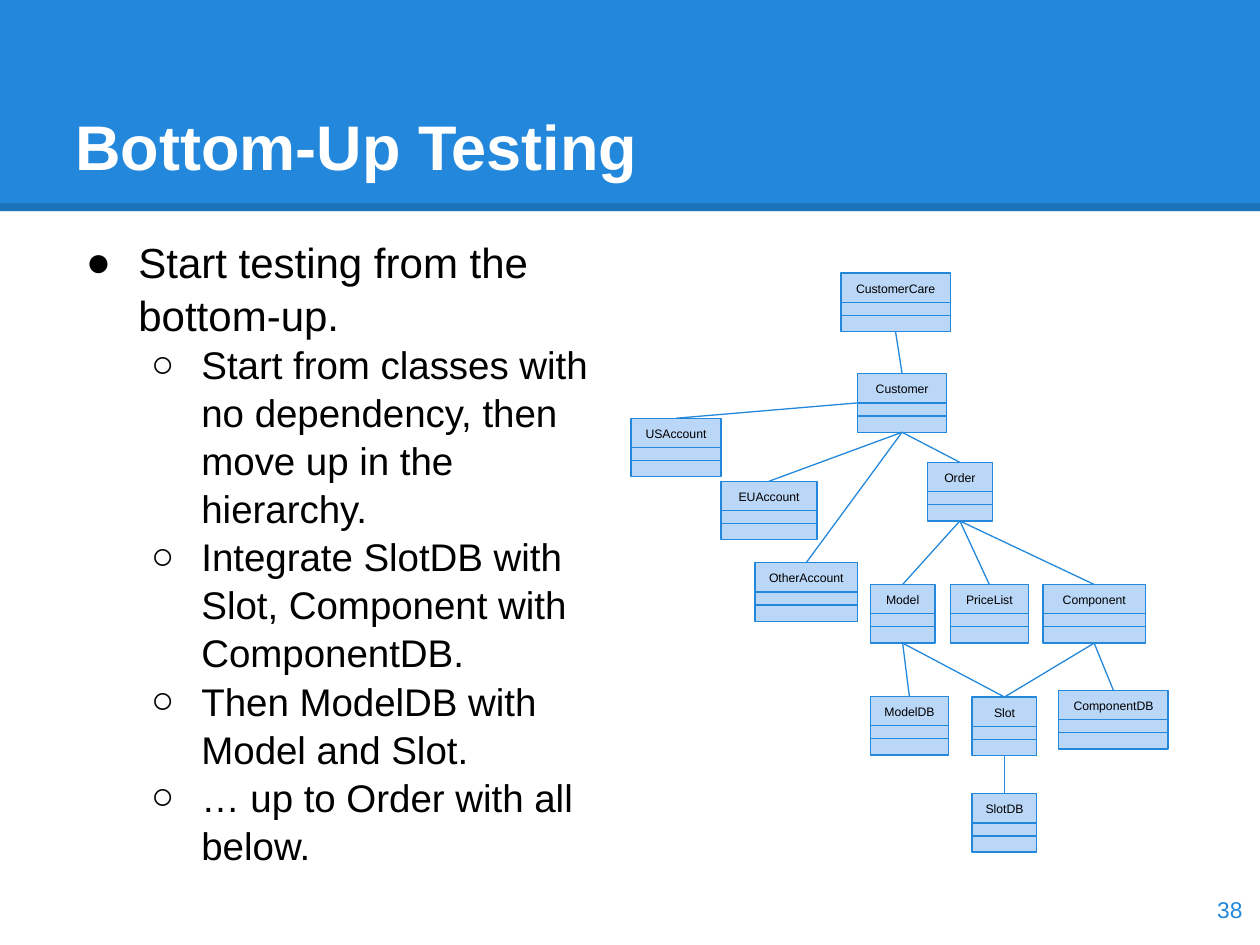
"""Build the Bottom-Up Testing slide with its class diagram."""
from lxml import etree
from pptx import Presentation
from pptx.dml.color import RGBColor
from pptx.enum.shapes import MSO_CONNECTOR, MSO_SHAPE
from pptx.enum.text import MSO_ANCHOR, PP_ALIGN
from pptx.oxml.ns import qn
from pptx.util import Pt

RECT = MSO_SHAPE.RECTANGLE
LINE = MSO_CONNECTOR.STRAIGHT
TOP, MIDDLE, BOTTOM = MSO_ANCHOR.TOP, MSO_ANCHOR.MIDDLE, MSO_ANCHOR.BOTTOM
LEFT, CENTER, RIGHT = PP_ALIGN.LEFT, PP_ALIGN.CENTER, PP_ALIGN.RIGHT

BLUE = RGBColor(0x23, 0x88, 0xDB)
PALE = RGBColor(0xBB, 0xD7, 0xF8)
BLACK = RGBColor(0, 0, 0)
WHITE = RGBColor(0xFF, 0xFF, 0xFF)

FONT = "Arial"
INSET = 7.2
HIGH = 33.5
SPLIT = 24.2

POINTS = [
    (0, "Start testing from the bottom-up."),
    (1, "Start from classes with no dependency, then move up in the hierarchy."),
    (1, "Integrate SlotDB with Slot, Component with ComponentDB."),
    (1, "Then ModelDB with Model and Slot."),
    (1, "… up to Order with all below."),
]
LEVELS = [("●", 24, 36, -30), ("○", 22, 72, -28.8)]

CLASSES = {
    "USAccount": (360.5, 239, 51.5),
    "OtherAccount": (431.5, 321.5, 58.5),
    "EUAccount": (412, 275, 55),
    "Customer": (490, 213.5, 51),
    "CustomerCare": (480.5, 156, 62.5),
    "Order": (530, 264.2, 37),
    "Model": (497.3, 334, 37),
    "PriceList": (543, 334, 44.7),
    "Component": (596, 334, 58.5),
    "Slot": (555.5, 398.3, 37),
    "ModelDB": (497.3, 398, 44.7),
    "SlotDB": (555.5, 453.5, 37),
    "ComponentDB": (605, 394.5, 62.5),
}
LINKS = [
    ("CustomerCare", "Customer"),
    ("Customer", "EUAccount"),
    ("Customer", "OtherAccount"),
    ("Customer", "Order"),
    ("Order", "Model"),
    ("Order", "PriceList"),
    ("Order", "Component"),
    ("Model", "ModelDB"),
    ("Model", "Slot"),
    ("Component", "Slot"),
    ("Component", "ComponentDB"),
    ("Slot", "SlotDB"),
]


def add_line(slide, x1, y1, x2, y2, color=BLUE, width=0.75):
    """Add a plain straight line."""
    line = slide.shapes.add_connector(LINE, Pt(x1), Pt(y1), Pt(x2), Pt(y2))
    line.line.color.rgb = color
    line.line.width = Pt(width)
    etree.SubElement(line._element.spPr, qn("a:effectLst"))
    return line


def add_join(slide, start, out, end, into):
    """Join two shapes at the given sides."""
    line = add_line(slide, 0, 0, 0, 0)
    line.begin_connect(start, out)
    line.end_connect(end, into)


def add_rect(slide, x, y, w, h, fill):
    """Add a filled rectangle without outline."""
    rect = slide.shapes.add_shape(RECT, Pt(x), Pt(y), Pt(w), Pt(h))
    rect.shadow.inherit = False
    rect.fill.solid()
    rect.fill.fore_color.rgb = fill
    rect.line.fill.background()
    return rect


def set_frame(frame, anchor, side, head):
    """Set wrapping, anchor and insets of a text frame."""
    frame.word_wrap = True
    frame.vertical_anchor = anchor
    frame.margin_left = frame.margin_right = Pt(side)
    frame.margin_top = frame.margin_bottom = Pt(head)


def set_text(para, text, size, color, align=LEFT, bold=False):
    """Fill a paragraph and set its font."""
    para.text = text
    para.alignment = align
    para.font.name = FONT
    para.font.size = Pt(size)
    para.font.color.rgb = color
    para.font.bold = bold


def add_box(slide, x, y, w, h, anchor=TOP):
    """Add a text box and return its frame."""
    frame = slide.shapes.add_textbox(Pt(x), Pt(y), Pt(w), Pt(h)).text_frame
    set_frame(frame, anchor, INSET, INSET)
    return frame


def add_head(slide):
    """Add the title band with its darker lower edge."""
    add_rect(slide, 0, 0, 720, 120.7, BLUE)
    edge = add_line(slide, 0, 118.4, 720, 118.4, BLACK, 4.5)
    tint = edge._element.spPr.find(".//" + qn("a:srgbClr"))
    etree.SubElement(tint, qn("a:alpha"), val="15000")
    frame = add_box(slide, 36, 21.6, 648, 90, BOTTOM)
    set_text(frame.paragraphs[0], "Bottom-Up Testing", 36, WHITE, bold=True)


def add_list(slide):
    """Add the bulleted list."""
    frame = add_box(slide, 36, 127, 315, 391)
    for i, (level, text) in enumerate(POINTS):
        para = frame.add_paragraph() if i else frame.paragraphs[0]
        mark, size, margin, indent = LEVELS[level]
        para.level = level
        para.line_spacing = 1.04
        props = para._p.get_or_add_pPr()
        props.set("marL", str(Pt(margin)))
        props.set("indent", str(Pt(indent)))
        etree.SubElement(props, qn("a:buFont"), typeface=FONT)
        etree.SubElement(props, qn("a:buChar"), char=mark)
        set_text(para, text, size, BLACK)


def add_class(slide, name, x, y, w):
    """Add a class box with three compartments."""
    rect = add_rect(slide, x, y, w, HIGH, PALE)
    rect.line.color.rgb = BLUE
    rect.line.width = Pt(0.75)
    set_frame(rect.text_frame, TOP, 0, 4.5)
    set_text(rect.text_frame.paragraphs[0], name, 7, BLACK, CENTER)
    add_join(slide, rect, 1, rect, 3)
    add_line(slide, x, y + SPLIT, x + w, y + SPLIT)
    return rect


def main():
    """Build and save the slide."""
    deck = Presentation()
    deck.slide_width, deck.slide_height = Pt(720), Pt(540)
    slide = deck.slides.add_slide(deck.slide_layouts[6])
    add_head(slide)
    add_list(slide)
    boxes = {name: add_class(slide, name, *spot) for name, spot in CLASSES.items()}
    add_join(slide, boxes["Customer"], 1, boxes["USAccount"], 0)
    for upper, lower in LINKS:
        add_join(slide, boxes[upper], 2, boxes[lower], 0)
    page = add_box(slide, 674, 499, 43, 41, MIDDLE)
    set_text(page.paragraphs[0], "38", 13, BLUE, RIGHT)
    deck.save("out.pptx")


if __name__ == "__main__":
    main()
